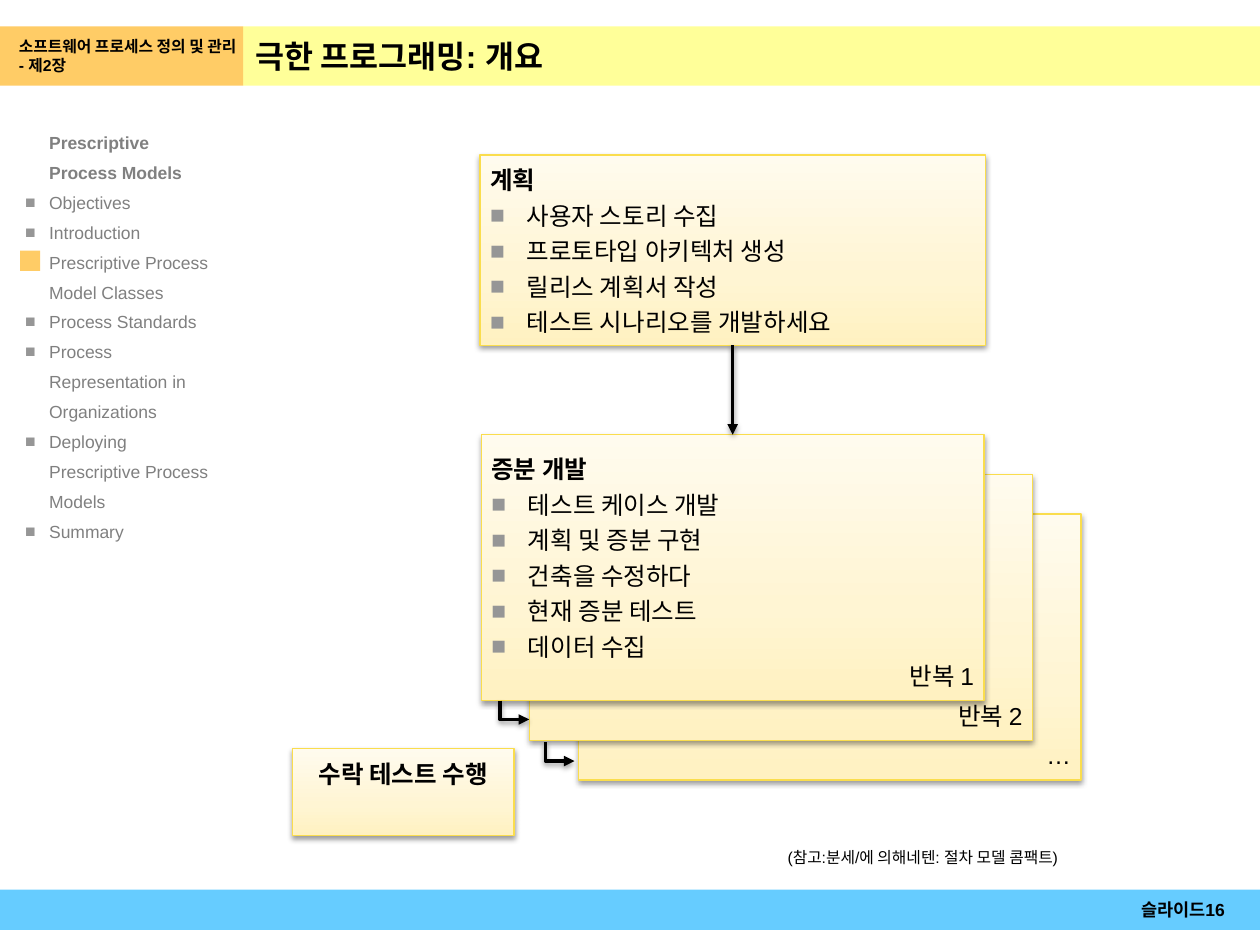
from collections import namedtuple
from dataclasses import dataclass

from lxml.etree import SubElement
from pptx import Presentation
from pptx.dml.color import RGBColor
from pptx.enum.shapes import MSO_CONNECTOR as Connector, MSO_SHAPE as Shape
from pptx.enum.text import MSO_ANCHOR as Anchor, MSO_AUTO_SIZE as AutoSize, PP_ALIGN as Align
from pptx.oxml import parse_xml
from pptx.oxml.ns import nsdecls, qn
from pptx.util import Inches, Pt

Box = namedtuple("Box", "left top width height")


@dataclass(frozen=True)
class Theme:
    font: str = "Arial"
    ink: str = "000000"
    muted: str = "808080"
    bullet: str = "969696"
    title_fill: str = "FFFF99"
    accent: str = "FFCC66"
    footer_fill: str = "66CCFF"
    card_line: str = "FADD4D"
    card_stops: tuple = ((0, "FFF1C1"), (35, "FFF5D3"), (100, "FFFBEE"))
    title_size: float = 18
    card_size: float = 14
    small_size: float = 10
    note_size: float = 9


THEME = Theme()


def place(shape, box):
    shape.left, shape.top, shape.width, shape.height = map(Inches, box)


def write(frame, text, size=THEME.card_size, color=THEME.ink, bold=False, align=Align.LEFT,
          before=0, spacing=None, indent=0, hanging=0, bullet=False):
    para = frame.paragraphs[0]
    if para.runs:
        para = frame.add_paragraph()
    para.alignment = align
    para.space_before = Pt(before)
    if spacing:
        para.line_spacing = spacing
    props = para._p.get_or_add_pPr()
    props.set("marL", str(Inches(indent)))
    props.set("indent", str(-Inches(hanging)))
    if bullet:
        SubElement(SubElement(props, qn("a:buClr")), qn("a:srgbClr"), val=THEME.bullet)
        SubElement(props, qn("a:buFont"), typeface=THEME.font)
        SubElement(props, qn("a:buChar"), char="■")
    else:
        SubElement(props, qn("a:buNone"))
    span = para.add_run()
    span.text = text
    span.font.name = THEME.font
    span.font.size = Pt(size)
    span.font.bold = bold
    span.font.color.rgb = RGBColor.from_string(color)


def set_frame(shape, anchor=Anchor.TOP, across=0, down=0):
    frame = shape.text_frame
    frame.auto_size = AutoSize.NONE
    frame.word_wrap = True
    frame.vertical_anchor = anchor
    frame.margin_left = frame.margin_right = Inches(across)
    frame.margin_top = frame.margin_bottom = Inches(down)
    return frame


def add_text_box(slide, box, **frame_format):
    return set_frame(slide.shapes.add_textbox(*map(Inches, box)), **frame_format)


def add_block(slide, box, color):
    block = slide.shapes.add_shape(Shape.RECTANGLE, *map(Inches, box))
    block.shadow.inherit = False
    block.fill.solid()
    block.fill.fore_color.rgb = RGBColor.from_string(color)
    block.line.fill.background()
    return block


def set_outline(shape, color, width):
    shape.line.color.rgb = RGBColor.from_string(color)
    shape.line.width = Pt(width)
    line = shape._element.spPr.find(qn("a:ln"))
    line.addnext(parse_xml(
        f'<a:effectLst {nsdecls("a")}><a:outerShdw blurRad="{Pt(3.1)}" dist="{Pt(1.6)}" '
        f'dir="5400000" rotWithShape="0"><a:srgbClr val="{THEME.ink}"><a:alpha val="38000"/>'
        '</a:srgbClr></a:outerShdw></a:effectLst>'))
    return line


def add_card(slide, box, anchor=Anchor.TOP):
    card = slide.shapes.add_shape(Shape.RECTANGLE, *map(Inches, box))
    line = set_outline(card, THEME.card_line, 0.75)
    stops = "".join(f'<a:gs pos="{place_at * 1000}"><a:srgbClr val="{color}"/></a:gs>'
                    for place_at, color in THEME.card_stops)
    line.addprevious(parse_xml(f'<a:gradFill {nsdecls("a")} rotWithShape="1"><a:gsLst>{stops}'
                               '</a:gsLst><a:lin ang="16200000" scaled="0"/></a:gradFill>'))
    return set_frame(card, anchor, across=0.08, down=0.08)


def write_list(frame, heading, items):
    write(frame, heading, bold=True)
    for item in items:
        write(frame, item, before=3.5, indent=0.29, hanging=0.29, bullet=True)


def set_arrow(shape):
    SubElement(set_outline(shape, THEME.ink, 2), qn("a:tailEnd"), type="triangle")


def add_header(slide, box):
    chapter_width = 1.93
    title = slide.shapes.title
    place(title, Box(box.left + chapter_width, box.top, box.width - chapter_width, box.height))
    title.fill.solid()
    title.fill.fore_color.rgb = RGBColor.from_string(THEME.title_fill)
    write(set_frame(title, Anchor.MIDDLE, across=0.1, down=0.05), "극한 프로그래밍: 개요",
          size=THEME.title_size, bold=True)
    chapter = add_block(slide, box._replace(width=chapter_width), THEME.accent)
    write(set_frame(chapter, Anchor.MIDDLE, across=0.04, down=0.05),
          "소프트웨어 프로세스 정의 및 관리 - 제2장", size=THEME.note_size, bold=True, indent=0.11)


def add_sidebar(slide, box):
    body = slide.placeholders[1]
    place(body, box)
    frame = set_frame(body)
    look = dict(size=THEME.small_size, color=THEME.muted, spacing=1.42, indent=0.19)
    write(frame, "Prescriptive Process Models", bold=True, **look)
    for topic in ("Objectives", "Introduction", "Prescriptive Process Model Classes",
                  "Process Standards", "Process Representation in Organizations",
                  "Deploying Prescriptive Process Models", "Summary"):
        write(frame, topic, hanging=0.19, bullet=True, **look)
    add_block(slide, Box(box.left - 0.04, box.top + 1.01, 0.16, 0.16), THEME.accent)


def add_planning(slide, box):
    write_list(add_card(slide, box), "계획",
               ("사용자 스토리 수집", "프로토타입 아키텍처 생성", "릴리스 계획서 작성",
                "테스트 시나리오를 개발하세요"))


def add_iterations(slide, box):
    labels = ("반복 1", "반복 2", "…")
    for step in (2, 1, 0):
        frame = add_card(slide, box._replace(left=box.left + 0.77 * step / 2,
                                             top=box.top + 0.63 * step / 2), Anchor.BOTTOM)
        if step == 0:
            write_list(frame, "증분 개발", ("테스트 케이스 개발", "계획 및 증분 구현",
                                        "건축을 수정하다", "현재 증분 테스트", "데이터 수집"))
        write(frame, labels[step], align=Align.RIGHT)
    for hook in (Box(box.left + 0.15, box.top + box.height, 0.23, 0.15),
                 Box(box.left + 0.51, box.top + box.height + 0.33, 0.23, 0.15)):
        add_hook(slide, hook)


def add_hook(slide, box):
    left, top, width, height = map(Inches, box)
    outline = slide.shapes.build_freeform(left, top)
    outline.add_line_segments([(left, top + height), (left + width, top + height)], close=False)
    hook = outline.convert_to_shape()
    hook.fill.background()
    set_arrow(hook)


def add_acceptance(slide, box):
    write(add_card(slide, box), "수락 테스트 수행", bold=True, align=Align.CENTER)


def add_footer(slide, box):
    add_block(slide, box, THEME.footer_fill)
    number = add_text_box(slide, box._replace(left=8.7, width=1.02), anchor=Anchor.MIDDLE, down=0.04)
    write(number, "슬라이드16", size=THEME.small_size, bold=True, align=Align.RIGHT)


def main():
    deck = Presentation()
    deck.slide_width, deck.slide_height = Inches(10), Inches(7.5)
    slide = deck.slides.add_slide(deck.slide_layouts[1])
    planning = Box(3.81, 1.23, 4.01, 1.51)
    iteration = Box(3.82, 3.45, 3.99, 2.11)
    add_footer(slide, Box(0, 7.06, 10, 0.32))
    add_sidebar(slide, Box(0.2, 0.98, 1.5, 5.91))
    add_header(slide, Box(0, 0.21, 10, 0.47))
    add_planning(slide, planning)
    add_iterations(slide, iteration)
    add_acceptance(slide, Box(2.32, 5.94, 1.76, 0.69))
    note = add_text_box(slide, Box(6.25, 6.73, 3.42, 0.15))
    write(note, "(참고:분세/에 의해네텐: 절차 모델 콤팩트)", size=THEME.note_size)
    arrow = slide.shapes.add_connector(
        Connector.STRAIGHT, Inches(planning.left + planning.width / 2),
        Inches(planning.top + planning.height), Inches(iteration.left + iteration.width / 2),
        Inches(iteration.top))
    set_arrow(arrow)
    deck.save("out.pptx")


if __name__ == "__main__":
    main()
